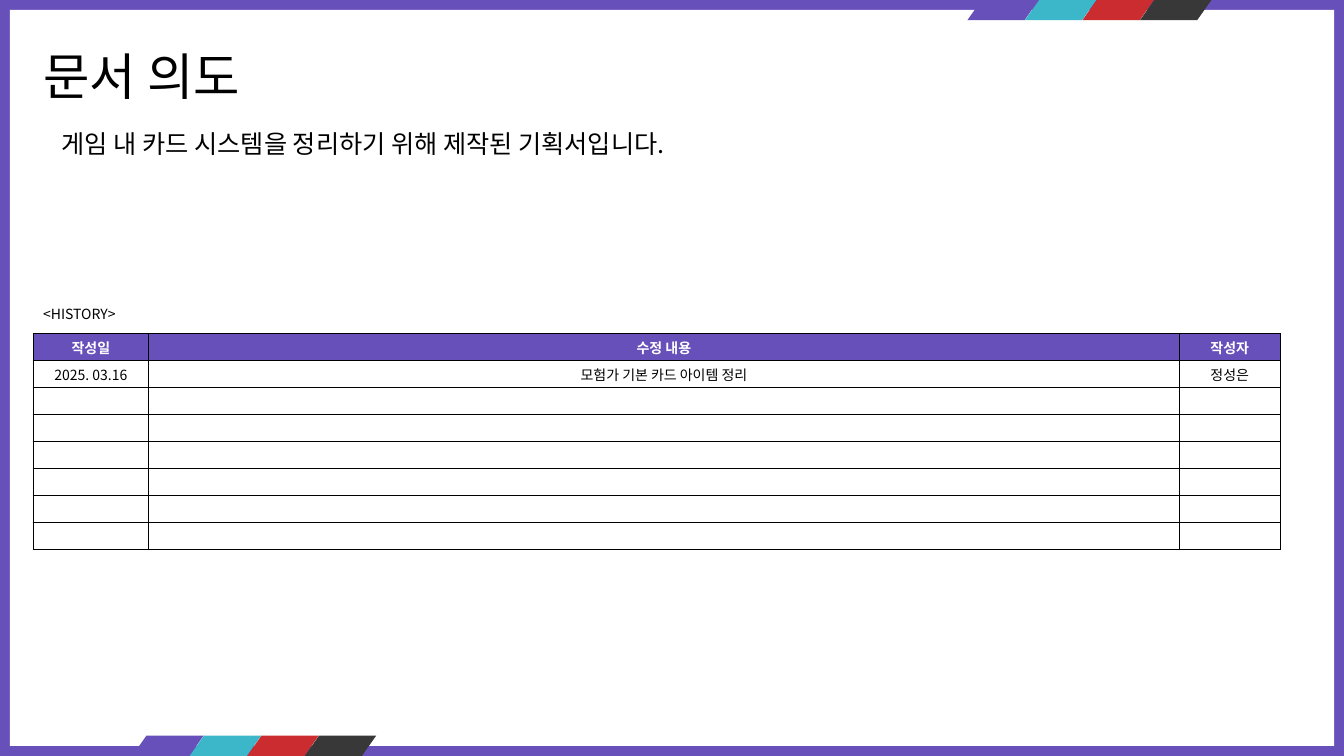
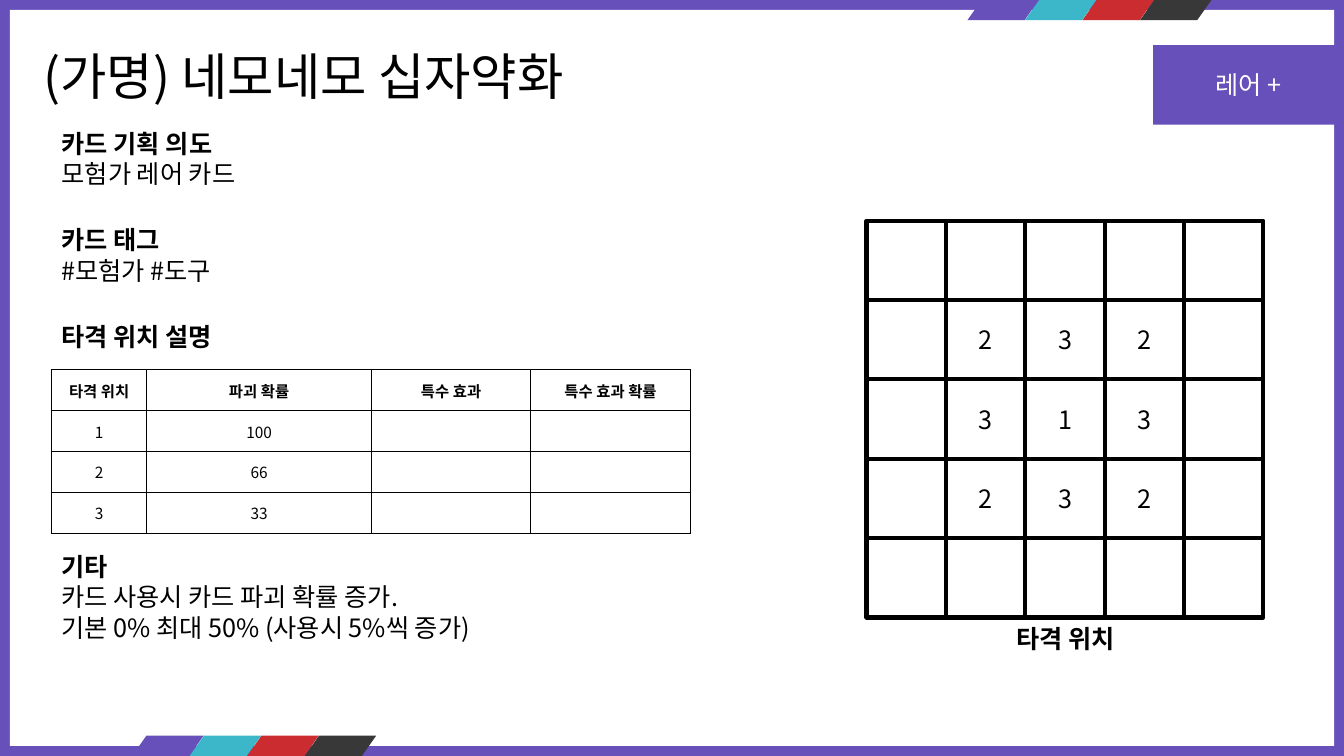
from lxml.etree import SubElement
from pptx import Presentation
from pptx.dml.color import RGBColor
from pptx.enum.shapes import MSO_SHAPE
from pptx.enum.text import MSO_ANCHOR, MSO_AUTO_SIZE, PP_ALIGN
from pptx.oxml.ns import qn
from pptx.util import Cm, Pt

FONT = "Noto Sans CJK KR"
PURPLE, TEAL, RED, CHARCOAL = "6750BA", "3BB7C9", "CB2C30", "383838"
WHITE, BLACK = "FFFFFF", "000000"
color = RGBColor.from_string


def write(frame, lines, size, ink=BLACK, align=PP_ALIGN.LEFT, heading=False, anchor=MSO_ANCHOR.TOP):
    frame.word_wrap = True
    frame.vertical_anchor = anchor
    frame.text = "\n".join(lines)
    for number, paragraph in enumerate(frame.paragraphs):
        paragraph.alignment = align
        paragraph.space_before = Pt(0)
        paragraph.font.name = FONT
        paragraph.font.size = Pt(size)
        paragraph.font.bold = heading and number == 0
        paragraph.font.color.rgb = color(ink)
        if not paragraph.text:
            SubElement(paragraph._p, qn("a:endParaRPr"), sz=str(size * 100))


def add_grid_table(page, left, top, widths, row_height, rows, size, header_fill, header_ink):
    frame = page.shapes.add_table(
        len(rows), len(widths), Cm(left), Cm(top), Cm(sum(widths)), Cm(row_height * len(rows)))
    table = frame.table
    table.horz_banding = False
    for column, width in zip(table.columns, widths):
        column.width = Cm(width)
    for row_number, (row, texts) in enumerate(zip(table.rows, rows)):
        row.height = Cm(row_height)
        header = row_number == 0
        for cell, text in zip(row.cells, texts):
            cell.margin_left = cell.margin_right = cell.margin_top = cell.margin_bottom = 0
            cell.vertical_anchor = MSO_ANCHOR.MIDDLE
            write(cell.text_frame, [text], size, header_ink if header else BLACK,
                  PP_ALIGN.CENTER, header, MSO_ANCHOR.MIDDLE)
            properties = cell._tc.get_or_add_tcPr()
            for side in ("a:lnL", "a:lnR", "a:lnT", "a:lnB"):
                border = SubElement(properties, qn(side), w=str(Pt(1)))
                SubElement(SubElement(border, qn("a:solidFill")), qn("a:srgbClr"), val=BLACK)
            cell.fill.solid()
            cell.fill.fore_color.rgb = color(header_fill if header else WHITE)


deck = Presentation()
deck.slide_width, deck.slide_height = Cm(33.87), Cm(19.05)
for root in (deck.slide_master.element, deck.element):
    for face in root.iter(qn("a:latin"), qn("a:ea")):
        face.set("typeface", FONT)

layout = deck.slide_layouts[1]
layout.background.fill.solid()
layout.background.fill.fore_color.rgb = color(PURPLE)
places = [(0.84, 1.02, 16.33, 1.8), (1.3, 3.1, 30.96, 1.8)]
for holder, place in zip(layout.placeholders, places):
    holder.left, holder.top, holder.width, holder.height = map(Cm, place)
list_style = layout.placeholders[1].text_frame._txBody.find(qn("a:lstStyle"))
level = SubElement(list_style, qn("a:lvl1pPr"), marL="0", indent="0")
SubElement(level, qn("a:buNone"))

pages = [deck.slides.add_slide(layout) for _ in range(2)]
history_page, card_page = pages

decorations = [(MSO_SHAPE.RECTANGLE, 0.25, 0.25, 33.37, 18.55, WHITE)]
for left, top in ((24.38, 0), (3.33, 18.54)):
    for number, fill in enumerate((PURPLE, TEAL, RED, CHARCOAL)):
        decorations.append((MSO_SHAPE.FLOWCHART_DATA, left + 1.45 * number, top, 1.8, 0.51, fill))
for depth, (kind, left, top, width, height, fill) in enumerate(decorations):
    shape = history_page.shapes.add_shape(kind, Cm(left), Cm(top), Cm(width), Cm(height))
    shape.shadow.inherit = False
    shape.fill.solid()
    shape.fill.fore_color.rgb = color(fill)
    shape.line.fill.background()
    layout.shapes.element.insert(2 + depth, shape.element)

contents = [
    ("문서 의도", ["게임 내 카드 시스템을 정리하기 위해 제작된 기획서입니다."], False),
    ("(가명) 네모네모 십자약화", ["카드 기획 의도", "모험가 레어 카드"], True),
]
for page, (title, lines, heading) in zip(pages, contents):
    body = page.placeholders[1]
    write(page.shapes.title.text_frame, [title], 36)
    write(body.text_frame, lines, 18, heading=heading)
    for holder in (page.shapes.title, body):
        holder.text_frame.auto_size = MSO_AUTO_SIZE.NONE

text_boxes = [
    (history_page, 0.84, 7.57, 2.54, 0.69, ["<HISTORY>"], 10, PP_ALIGN.LEFT, False),
    (card_page, 1.3, 5.54, 20.09, 1.8, ["카드 태그", "#모험가 #도구"], 18, PP_ALIGN.LEFT, True),
    (card_page, 1.3, 7.98, 20.09, 1.02, ["타격 위치 설명"], 18, PP_ALIGN.LEFT, True),
    (card_page, 1.3, 13.77, 20.09, 2.57,
     ["기타", "카드 사용시 카드 파괴 확률 증가.", "기본 0% 최대 50% (사용시 5%씩 증가)"],
     18, PP_ALIGN.LEFT, True),
    (card_page, 24.26, 15.57, 5.18, 1.02, ["타격 위치"], 18, PP_ALIGN.CENTER, True),
]
for page, left, top, width, height, lines, size, align, heading in text_boxes:
    box = page.shapes.add_textbox(Cm(left), Cm(top), Cm(width), Cm(height))
    write(box.text_frame, lines, size, align=align, heading=heading)

history_rows = [("작성일", "수정 내용", "작성자"),
                ("2025. 03.16", "모험가 기본 카드 아이템 정리", "정성은")]
history_rows += [("", "", "")] * 6
add_grid_table(history_page, 0.84, 8.41, (2.9, 25.98, 2.54), 0.68, history_rows, 10, PURPLE, WHITE)

chance_rows = [("타격 위치", "파괴 확률", "특수 효과", "특수 효과 확률"),
               ("1", "100", "", ""), ("2", "66", "", ""), ("3", "33", "", "")]
add_grid_table(card_page, 1.3, 9.32, (2.4, 5.66, 4.02, 4.02), 1.03, chance_rows, 11, WHITE, BLACK)

hit_rows = [("", "", "", "", ""),
            ("", "2", "3", "2", ""),
            ("", "3", "1", "3", ""),
            ("", "2", "3", "2", ""),
            ("", "", "", "", "")]
squares = [(21.84 + 2 * column, 5.56 + 2 * row, 2, text, WHITE, BLACK)
           for row, texts in enumerate(hit_rows) for column, text in enumerate(texts)]
squares.append((29.06, 1.14, 4.81, "레어 +", PURPLE, WHITE))
for left, top, width, text, fill, ink in squares:
    square = card_page.shapes.add_shape(MSO_SHAPE.RECTANGLE, Cm(left), Cm(top), Cm(width), Cm(2))
    square.shadow.inherit = False
    square.fill.solid()
    square.fill.fore_color.rgb = color(fill)
    if fill == WHITE:
        square.line.color.rgb = color(BLACK)
        square.line.width = Pt(3)
    else:
        square.line.fill.background()
    if text:
        write(square.text_frame, [text], 18, ink, PP_ALIGN.CENTER, anchor=MSO_ANCHOR.MIDDLE)

deck.save("out.pptx")
